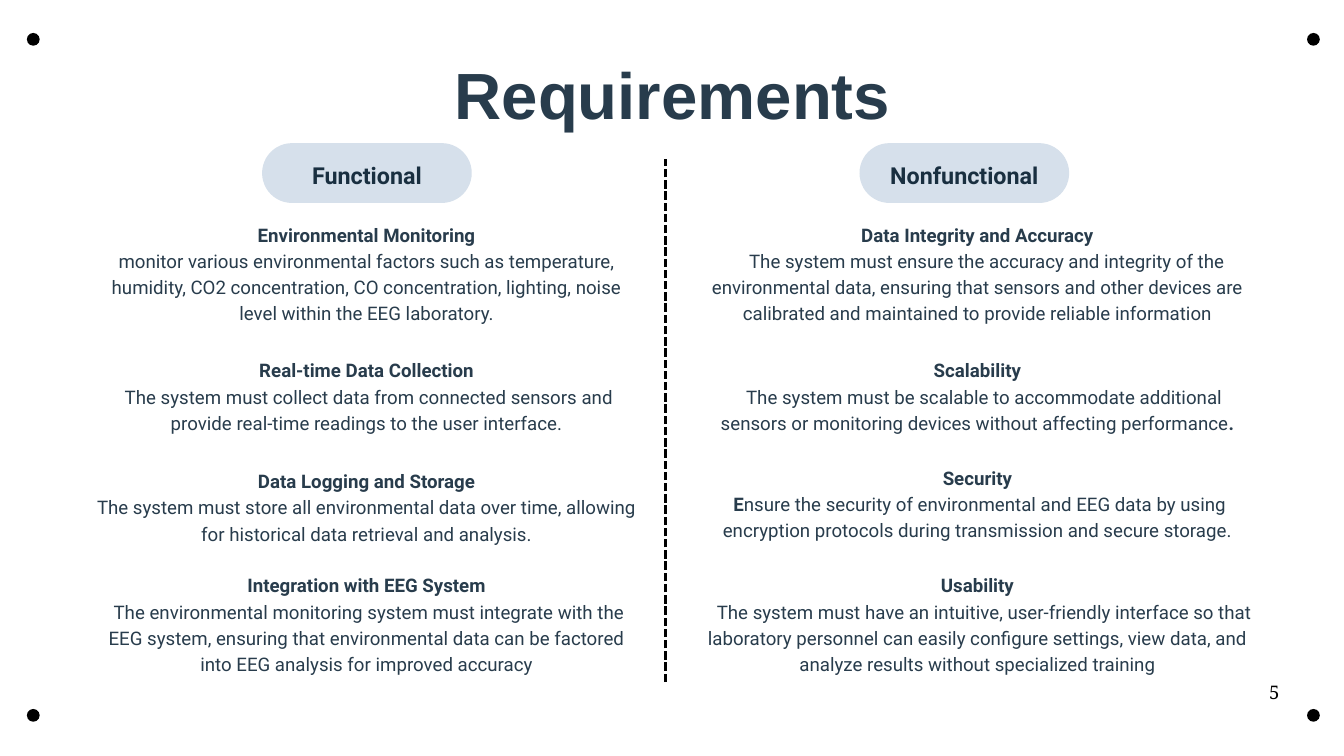
import pptx
import pptx.util
import pptx.dml.color
import pptx.enum.dml
import pptx.enum.shapes
import pptx.enum.text
import pptx.oxml.ns
import lxml.etree

COLORS = {"ink": "283C4C", "label": "192F40", "pill": "D6E0EB", "black": "000000"}
SHAPE = pptx.enum.shapes.MSO_SHAPE
ANCHOR = pptx.enum.text.MSO_ANCHOR
COLS, ROWS = 200, 112.5  # grid of square cells over the slide

# Each item: row in its column, first-line indent, heading, runs as (text, bold)
NEEDS = {
    "Functional": [
        (11.4, 0, "Environmental Monitoring", [
            ("monitor various environmental factors such as temperature, humidity, CO2 concentration, "
             "CO concentration, lighting, noise level within the EEG laboratory.", False)]),
        (31.6, 0.7, "Real-time Data Collection", [
            ("The system must collect data from connected sensors and provide real-time readings "
             "to the user interface.", False)]),
        (48.1, 0, "Data Logging and Storage", [
            ("The system must store all environmental data over time, allowing for historical data "
             "retrieval and analysis.", False)]),
        (63.6, 0.7, "Integration with EEG System", [
            ("The environmental monitoring system must integrate with the EEG system, ensuring that "
             "environmental data can be factored into EEG analysis for improved accuracy", False)]),
    ],
    "Nonfunctional": [
        (11.4, 2.8, "Data Integrity and Accuracy", [
            ("The system must ensure the accuracy and integrity of the environmental data, ensuring "
             "that sensors and other devices are calibrated and maintained to provide reliable "
             "information", False)]),
        (31.6, 2, "Scalability", [
            ("The system must be scalable to accommodate additional sensors or monitoring devices "
             "without affecting performance", False), (".", True)]),
        (47.6, 0.7, "Security", [
            ("E", True),
            ("nsure the security of environmental and EEG data by using encryption protocols during "
             "transmission and secure storage.", False)]),
        (63.6, 2, "Usability", [
            ("The system must have an intuitive, user-friendly interface so that laboratory personnel "
             "can easily configure settings, view data, and analyze results without specialized "
             "training", False)]),
    ],
}

deck = pptx.Presentation()
deck.slide_width = pptx.util.Inches(20)
deck.slide_height = pptx.util.Inches(11.25)


def cell(count):
    return round(deck.slide_width * count / COLS)


def place(box):
    return [cell(side) for side in box]


def rgb(name):
    return pptx.dml.color.RGBColor.from_string(COLORS[name])


def frame(shape, anchor=ANCHOR.TOP, wrap=True):
    text = shape.text_frame
    text.margin_left = text.margin_right = text.margin_top = text.margin_bottom = 0
    text.vertical_anchor, text.word_wrap = anchor, wrap
    text.auto_size = pptx.enum.text.MSO_AUTO_SIZE.NONE
    return text


def style(para, size, lead, color="ink", face="Roboto", bold=None):
    para.alignment = pptx.enum.text.PP_ALIGN.CENTER
    para.line_spacing = pptx.util.Pt(lead)
    para.space_before = pptx.util.Pt(0)
    font = para.font
    font.size, font.name, font.bold = pptx.util.Pt(size), face, bold
    font.color.rgb = rgb(color)


def add_solid(slide, kind, box, color):
    shape = slide.shapes.add_shape(kind, *place(box))
    shape.shadow.inherit = False
    shape.fill.solid()
    shape.fill.fore_color.rgb = rgb(color)
    shape.line.fill.background()
    return shape


def add_title(slide, box, words):
    title = slide.shapes.title
    title.left, title.top, title.width, title.height = place(box)
    text = frame(title)
    text.text = words
    style(text.paragraphs[0], 70, 82.6, face="Arial", bold=True)


def add_pill(slide, box, words):
    pill = add_solid(slide, SHAPE.ROUNDED_RECTANGLE, box, "pill")
    pill.adjustments[0] = 0.5
    text = frame(pill, ANCHOR.MIDDLE)
    text.text = words
    style(text.paragraphs[0], 25, 35, "label", bold=True)


def add_item(slide, box, indent, head, runs):
    text = frame(slide.shapes.add_textbox(*place(box)))
    top = text.paragraphs[0]
    top.text = head
    style(top, 20, 28, bold=True)
    body = text.add_paragraph()
    body._p.get_or_add_pPr().set("indent", str(cell(indent)))
    for words, bold in runs:
        run = body.add_run()
        run.text, run.font.bold = words, bold
    style(body, 20, 28)


def add_column(slide, box, inset, label):
    left, top, width, _ = box
    add_pill(slide, (left + inset, top, 31.2, 8.9), label)
    for row, indent, head, runs in NEEDS[label]:
        add_item(slide, (left, top + row, width, 15.4), indent, head, runs)


def add_rule(slide, col, top, bottom):
    rule = slide.shapes.add_connector(
        pptx.enum.shapes.MSO_CONNECTOR.STRAIGHT, *place((col, bottom, col, top)))
    rule.line.width = pptx.util.Pt(3)
    rule.line.color.rgb = rgb("black")
    rule.line.dash_style = pptx.enum.dml.MSO_LINE.SQUARE_DOT
    lxml.etree.SubElement(rule._element.spPr, pptx.oxml.ns.qn("a:effectLst"))


def add_dots(slide, box, size):
    """Put a dot in each corner of the box."""
    left, top, width, height = box
    for col in (left, left + width - size):
        for row in (top, top + height - size):
            add_solid(slide, SHAPE.OVAL, (col, row, size, size), "black")


def add_page(slide, box, number):
    text = frame(slide.shapes.add_textbox(*place(box)), wrap=False)
    text.text = number
    style(text.paragraphs[0], 20, 28, "black", "Noto Serif")


def main():
    slide = deck.slides.add_slide(deck.slide_layouts[5])
    add_title(slide, (52.2, 8.3, 95.7, 13), "Requirements")
    add_column(slide, (13.6, 21.3, 81.9, 79), 25.4, "Functional")
    add_column(slide, (104.5, 21.3, 81.9, 79), 23.4, "Nonfunctional")
    add_rule(slide, 99, 23.7, 101.5)
    add_dots(slide, (4, 4.9, COLS - 7.6, ROWS - 10), 1.9)
    add_page(slide, (188.8, 100.7, 1.7, 2.2), "5")
    deck.save("out.pptx")


if __name__ == "__main__":
    main()
